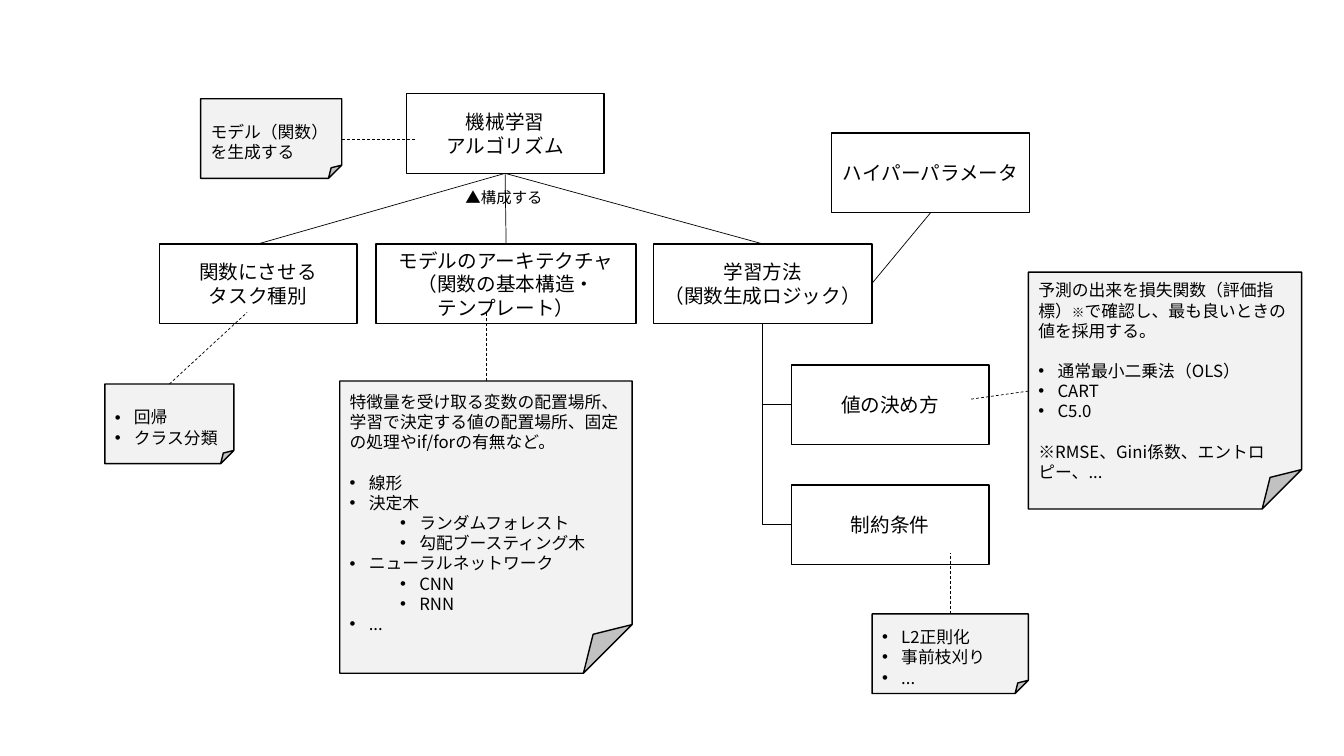
from lxml.etree import SubElement
from pptx import Presentation
from pptx.dml.color import RGBColor
from pptx.enum.dml import MSO_LINE
from pptx.enum.shapes import MSO_CONNECTOR, MSO_SHAPE
from pptx.enum.text import MSO_ANCHOR, PP_ALIGN
from pptx.oxml.ns import qn
from pptx.util import Inches, Pt

COLORS = {"ink": "000000", "box": "FFFFFF", "note": "F2F2F2"}
FONT = "Noto Sans CJK JP"
HIGH = 0.79  # height of boxes and small notes
WIDE = 1.96  # width of a plain box
PITCH = 1.2  # line pitch per point of text


def color(name):
    return RGBColor.from_string(COLORS[name])


def add_run(para, text, size):
    run = para.add_run()
    run.text = text
    run.font.size = Pt(size)
    run.font.name = FONT
    run.font.color.rgb = color("ink")
    SubElement(run._r.get_or_add_rPr(), qn("a:ea"), typeface=FONT)


def add_para(frame, index, runs, size, align, level=None, gap=False):
    """Add a list of (text, size) runs; a level makes it a bullet."""
    para = frame.paragraphs[0] if index == 0 else frame.add_paragraph()
    para.alignment = align
    para.line_spacing = Pt(size * PITCH)
    para.space_before = Pt(size * PITCH if gap else 0)
    if level is not None:
        para.level = level
        props = para._p.get_or_add_pPr()
        props.set("marL", str(Inches(0.19 + 0.5 * level)))
        props.set("indent", str(Inches(-0.19)))
        SubElement(props, qn("a:buFont"), typeface="Arial")
        SubElement(props, qn("a:buChar"), char="•")
    for text, points in runs:
        add_run(para, text, points)


def add_panel(slide, kind, area, fill):
    shape = slide.shapes.add_shape(kind, *map(Inches, area))
    shape.shadow.inherit = False
    shape.fill.solid()
    shape.fill.fore_color.rgb = color(fill)
    shape.line.color.rgb = color("ink")
    shape.line.width = Pt(1)
    frame = shape.text_frame
    frame.word_wrap = True
    frame.vertical_anchor = MSO_ANCHOR.MIDDLE
    return frame


def add_box(slide, area, *lines):
    frame = add_panel(slide, MSO_SHAPE.RECTANGLE, area, "box")
    for index, text in enumerate(lines):
        add_para(frame, index, [(text, 14)], 14, PP_ALIGN.CENTER)


def add_note(slide, area, *items):
    """Each item is (runs, bullet level or None, gap before)."""
    frame = add_panel(slide, MSO_SHAPE.FOLDED_CORNER, area, "note")
    frame.margin_top, frame.margin_bottom = Inches(0.2), 0
    for index, (runs, level, gap) in enumerate(items):
        add_para(frame, index, runs, 12, PP_ALIGN.LEFT, level, gap)


def item(text, level=None, gap=False):
    return [(text, 12)], level, gap


def add_line(slide, start, end, dash=False, kind=MSO_CONNECTOR.STRAIGHT):
    line = slide.shapes.add_connector(kind, *map(Inches, (*start, *end)))
    line.line.color.rgb = color("ink")
    line.line.width = Pt(0.5)
    if dash:
        line.line.dash_style = MSO_LINE.DASH
    SubElement(line._element.spPr, qn("a:effectLst"))
    return line


def add_elbow(slide, start, end):
    """Go down, then right: a one-bend line, turned and flipped."""
    (x1, y1), (x2, y2) = start, end
    midx, midy = (x1 + x2) / 2, (y1 + y2) / 2
    halfw, halfh = (y2 - y1) / 2, (x2 - x1) / 2
    line = add_line(slide, (midx + halfw, midy - halfh),
                    (midx - halfw, midy + halfh), kind=MSO_CONNECTOR.ELBOW)
    props = line._element.spPr
    props.find(qn("a:xfrm")).set("rot", str(270 * 60000))
    props.find(qn("a:prstGeom")).set("prst", "bentConnector2")


def add_tree(slide, x, y):
    """Root, its three parts and the label on the middle branch."""
    root = x + 2.45
    add_box(slide, (root, y, WIDE, HIGH), "機械学習", "アルゴリズム")
    parts = [
        (0, WIDE, ("関数にさせる", "タスク種別")),
        (2.15, 2.58, ("モデルのアーキテクチャ", "（関数の基本構造・", "テンプレート）")),
        (4.9, 2.17, ("学習方法", "（関数生成ロジック）")),
    ]
    for left, width, lines in parts:
        add_box(slide, (x + left, y + 1.49, width, HIGH), *lines)
        add_line(slide, (root + WIDE / 2, y + HIGH),
                 (x + left + width / 2, y + 1.49))
    label = slide.shapes.add_textbox(
        *map(Inches, (x + 2.84, y + 0.89, 1.16, 0.29))).text_frame
    label.word_wrap = False
    add_para(label, 0, [("▲構成する", 11)], 11, PP_ALIGN.CENTER)


def add_method(slide, x, y):
    """Items below the learning method, and the parameter box above."""
    for top, text in ((0.41, "値の決め方"), (1.6, "制約条件")):
        add_box(slide, (x + 0.29, y + top, WIDE, HIGH), text)
        add_elbow(slide, (x, y), (x + 0.29, y + top + HIGH / 2))
    add_box(slide, (x + 0.69, y - 1.89, WIDE, HIGH), "ハイパーパラメータ")
    add_line(slide, (x + 1.09, y - 0.4), (x + 0.69 + WIDE / 2, y - 1.1))


def add_notes(slide, x, y):
    """Folded notes, each tied to its box by a dashed line."""
    loss = [("予測の出来を損失関数（評価指標）", 12), ("※", 9),
            ("で確認し、最も良いときの値を採用する。", 12)]
    notes = [
        ((0.95, 0, 1.4, HIGH), (2.35, 0.4), (3.08, 0.4),
         [item("モデル（関数）を生成する")]),
        ((0, 2.83, 1.28, HIGH), (0.64, 2.83), (1.41, 2.12),
         [item("回帰", 0), item("クラス分類", 0)]),
        ((2.33, 2.8, 2.9, 2.9), (3.78, 2.8), (3.78, 2.12),
         [item("特徴量を受け取る変数の配置場所、学習で決定する値の配置場所、"
               "固定の処理やif/forの有無など。"),
          item("線形", 0, True), item("決定木", 0),
          item("ランダムフォレスト", 1), item("勾配ブースティング木", 1),
          item("ニューラルネットワーク", 0),
          item("CNN", 1), item("RNN", 1), item("...", 0)]),
        ((7.61, 5.11, 1.55, HIGH), (8.39, 5.11), (8.39, 4.51),
         [item("L2正則化", 0), item("事前枝刈り", 0), item("...", 0)]),
        ((9.16, 1.72, 2.71, 2.35), (9.16, 2.9), (8.59, 2.98),
         [(loss, None, False),
          item("通常最小二乗法（OLS）", 0, True),
          item("CART", 0), item("C5.0", 0),
          item("※RMSE、Gini係数、エントロピー、...", gap=True)]),
    ]
    for (left, top, width, height), start, end, items in notes:
        add_note(slide, (x + left, y + top, width, height), *items)
        add_line(slide, (x + start[0], y + start[1]),
                 (x + end[0], y + end[1]), dash=True)


def main():
    deck = Presentation()
    deck.slide_width, deck.slide_height = Inches(13.33), Inches(7.5)
    slide = deck.slides.add_slide(deck.slide_layouts[6])
    add_tree(slide, 1.58, 0.93)
    add_method(slide, 7.56, 3.21)
    add_notes(slide, 1.04, 0.98)
    deck.save("out.pptx")


if __name__ == "__main__":
    main()
